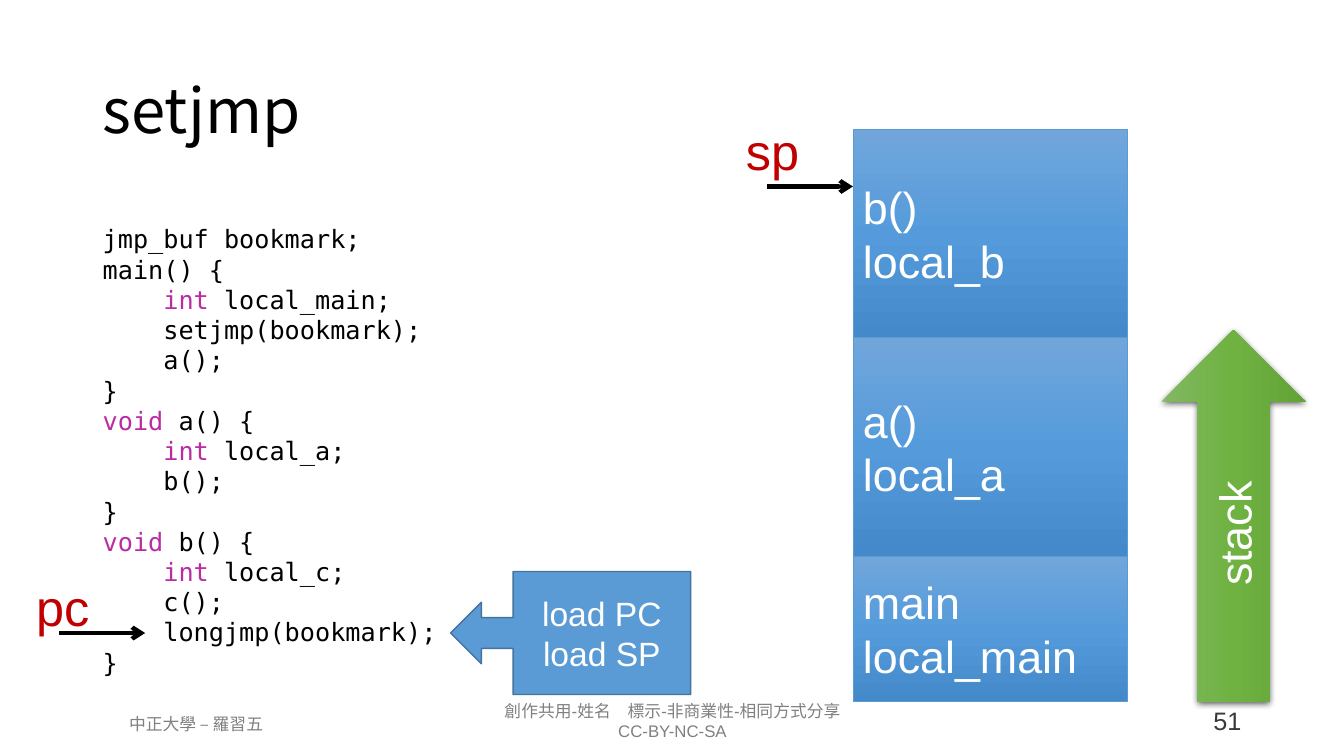
from dataclasses import dataclass

from lxml.etree import SubElement
from pptx import Presentation
from pptx.dml.color import RGBColor
from pptx.enum.shapes import MSO_CONNECTOR, MSO_SHAPE
from pptx.enum.text import MSO_ANCHOR as Anchor, PP_ALIGN as Align
from pptx.oxml import parse_xml
from pptx.oxml.ns import nsdecls, qn
from pptx.shapes.autoshape import Shape
from pptx.slide import Slide
from pptx.util import Inches, Pt

WHITE, BLACK, RED, GRAY = "FFFFFF", "000000", "C00000", "808080"
KEYWORD_COLOR = "BA2DA2"
KEYWORDS = ("int", "void")
BLUE_STOPS = ("71A6DB", "559BDB", "448ACA")
GREEN_STOPS = ("81B861", "6FB242", "62A336")

CODE = """jmp_buf bookmark;
main() {
    int local_main;
    setjmp(bookmark);
    a();
}
void a() {
    int local_a;
    b();
}
void b() {
    int local_c;
    c();
    longjmp(bookmark);
}"""


@dataclass(frozen=True)
class Box:
    left: float
    top: float
    width: float
    height: float


@dataclass(frozen=True)
class TextStyle:
    size: float
    color: str
    font: str = "Arial"
    align: Align = Align.LEFT
    anchor: Anchor = Anchor.MIDDLE
    wrap: bool = True
    spacing: float | Pt | None = None


@dataclass(frozen=True)
class Label:
    box: Box
    text: str
    style: TextStyle


@dataclass(frozen=True)
class Frame:
    text: str
    height: float


@dataclass(frozen=True)
class Pointer:
    name: str
    left: float
    top: float
    arrow_left: float
    arrow_top: float


FOOTER = TextStyle(12, GRAY, align=Align.CENTER)
FRAME_TEXT = TextStyle(32, WHITE)
POINTER_TEXT = TextStyle(36, RED, anchor=Anchor.TOP, wrap=False)
CODE_TEXT = TextStyle(18, BLACK, "DejaVu Sans Mono", anchor=Anchor.TOP, spacing=Pt(21.6))

LABELS = (
    Label(Box(4.21, 6.9, 4.92, 0.5), "創作共用-姓名　標示-非商業性-相同方式分享\nCC-BY-NC-SA", FOOTER),
    Label(Box(0.69, 7.03, 2.51, 0.3), "中正大學 – 羅習五", FOOTER),
    Label(Box(9.96, 6.95, 2.45, 0.4), "51", TextStyle(18, "3B3838", align=Align.RIGHT)),
    Label(Box(0.92, 0.4, 3.31, 1.45), "setjmp",
          TextStyle(44, BLACK, "Noto Sans CJK SC", spacing=0.9)),
    Label(Box(0.92, 2.17, 6.67, 4.64), CODE, CODE_TEXT),
)
FRAMES = (
    Frame("b()\nlocal_b", 2.07),
    Frame("a()\nlocal_a", 2.17),
    Frame("main\nlocal_main", 1.44),
)
STACK_LEFT, STACK_TOP, STACK_WIDTH = 8.46, 1.28, 2.72
POINTERS = (
    Pointer("pc", 0.26, 5.67, 0.59, 6.28),
    Pointer("sp", 7.3, 1.14, 7.61, 1.85),
)
POINTER_LENGTH = 0.85


def rgb(color: str) -> RGBColor:
    return RGBColor.from_string(color)


def place(box: Box) -> tuple[Inches, Inches, Inches, Inches]:
    return Inches(box.left), Inches(box.top), Inches(box.width), Inches(box.height)


def write(shape: Shape, text: str, style: TextStyle) -> None:
    frame = shape.text_frame
    frame.word_wrap = style.wrap
    frame.vertical_anchor = style.anchor
    for index, line in enumerate(text.split("\n")):
        paragraph = frame.add_paragraph() if index else frame.paragraphs[0]
        paragraph.alignment = style.align
        paragraph.line_spacing = style.spacing
        paragraph.font.size = Pt(style.size)
        paragraph.font.name = style.font
        paragraph.font.color.rgb = rgb(style.color)
        word = line.split()[0]
        for piece in filter(None, line.partition(word) if word in KEYWORDS else (line,)):
            run = paragraph.add_run()
            run.text = piece
            if piece in KEYWORDS:
                run.font.color.rgb = rgb(KEYWORD_COLOR)


def add_label(slide: Slide, label: Label) -> None:
    write(slide.shapes.add_textbox(*place(label.box)), label.text, label.style)


def add_block(slide: Slide, kind: MSO_SHAPE, box: Box, text: str, style: TextStyle) -> Shape:
    shape = slide.shapes.add_shape(kind, *place(box))
    shape.shadow.inherit = False
    write(shape, text, style)
    return shape


def set_gradient(shape: Shape, colors: tuple[str, ...]) -> None:
    step = 100000 // (len(colors) - 1)
    stops = "".join(
        f'<a:gs pos="{index * step}"><a:srgbClr val="{color}"/></a:gs>'
        for index, color in enumerate(colors)
    )
    gradient = parse_xml(
        f'<a:gradFill {nsdecls("a")} rotWithShape="1"><a:gsLst>{stops}</a:gsLst>'
        '<a:lin ang="5400000" scaled="0"/></a:gradFill>'
    )
    shape._element.spPr.find(qn("a:prstGeom")).addnext(gradient)


def set_line(shape: Shape, color: str, width: float) -> None:
    shape.line.color.rgb = rgb(color)
    shape.line.width = Pt(width)


def add_stack(slide: Slide) -> None:
    top = STACK_TOP
    for frame in FRAMES:
        box = Box(STACK_LEFT, top, STACK_WIDTH, frame.height)
        block = add_block(slide, MSO_SHAPE.RECTANGLE, box, frame.text, FRAME_TEXT)
        set_gradient(block, BLUE_STOPS)
        set_line(block, "5B9BD5", 0.5)
        top += frame.height


def add_growth_arrow(slide: Slide) -> None:
    style = TextStyle(32, WHITE, align=Align.CENTER)
    arrow = add_block(slide, MSO_SHAPE.RIGHT_ARROW, Box(10.39, 4.4, 3.69, 1.43), "stack", style)
    arrow.rotation = 270
    set_gradient(arrow, GREEN_STOPS)
    arrow.line.fill.background()
    arrow._element.spPr.find(qn("a:effectLst")).append(parse_xml(
        f'<a:outerShdw {nsdecls("a")} blurRad="{Pt(4.5)}" dist="{Pt(1.5)}" dir="5400000" '
        'algn="ctr" rotWithShape="0"><a:srgbClr val="000000"><a:alpha val="63000"/>'
        '</a:srgbClr></a:outerShdw>'
    ))


def add_pointer(slide: Slide, pointer: Pointer) -> None:
    y = Inches(pointer.arrow_top)
    arrow = slide.shapes.add_connector(
        MSO_CONNECTOR.STRAIGHT, Inches(pointer.arrow_left), y,
        Inches(pointer.arrow_left + POINTER_LENGTH), y,
    )
    set_line(arrow, BLACK, 3)
    SubElement(arrow.line._get_or_add_ln(), qn("a:tailEnd"), type="arrow")
    SubElement(arrow._element.spPr, qn("a:effectLst"))
    add_label(slide, Label(Box(pointer.left, pointer.top, 0.73, 0.71), pointer.name, POINTER_TEXT))


def add_load_callout(slide: Slide) -> None:
    style = TextStyle(24, WHITE, align=Align.CENTER)
    box = Box(4.47, 5.67, 2.38, 1.22)
    callout = add_block(slide, MSO_SHAPE.LEFT_ARROW_CALLOUT, box, "load PC\nload SP", style)
    callout.adjustments[3] = 0.74
    callout.fill.solid()
    callout.fill.fore_color.rgb = rgb("5B9BD5")
    set_line(callout, "43739E", 1)


def main() -> None:
    presentation = Presentation()
    presentation.slide_width, presentation.slide_height = Inches(13.33), Inches(7.5)
    slide = presentation.slides.add_slide(presentation.slide_layouts[6])
    for label in LABELS:
        add_label(slide, label)
    add_stack(slide)
    add_growth_arrow(slide)
    for pointer in POINTERS:
        add_pointer(slide, pointer)
    add_load_callout(slide)
    presentation.save("out.pptx")


if __name__ == "__main__":
    main()
